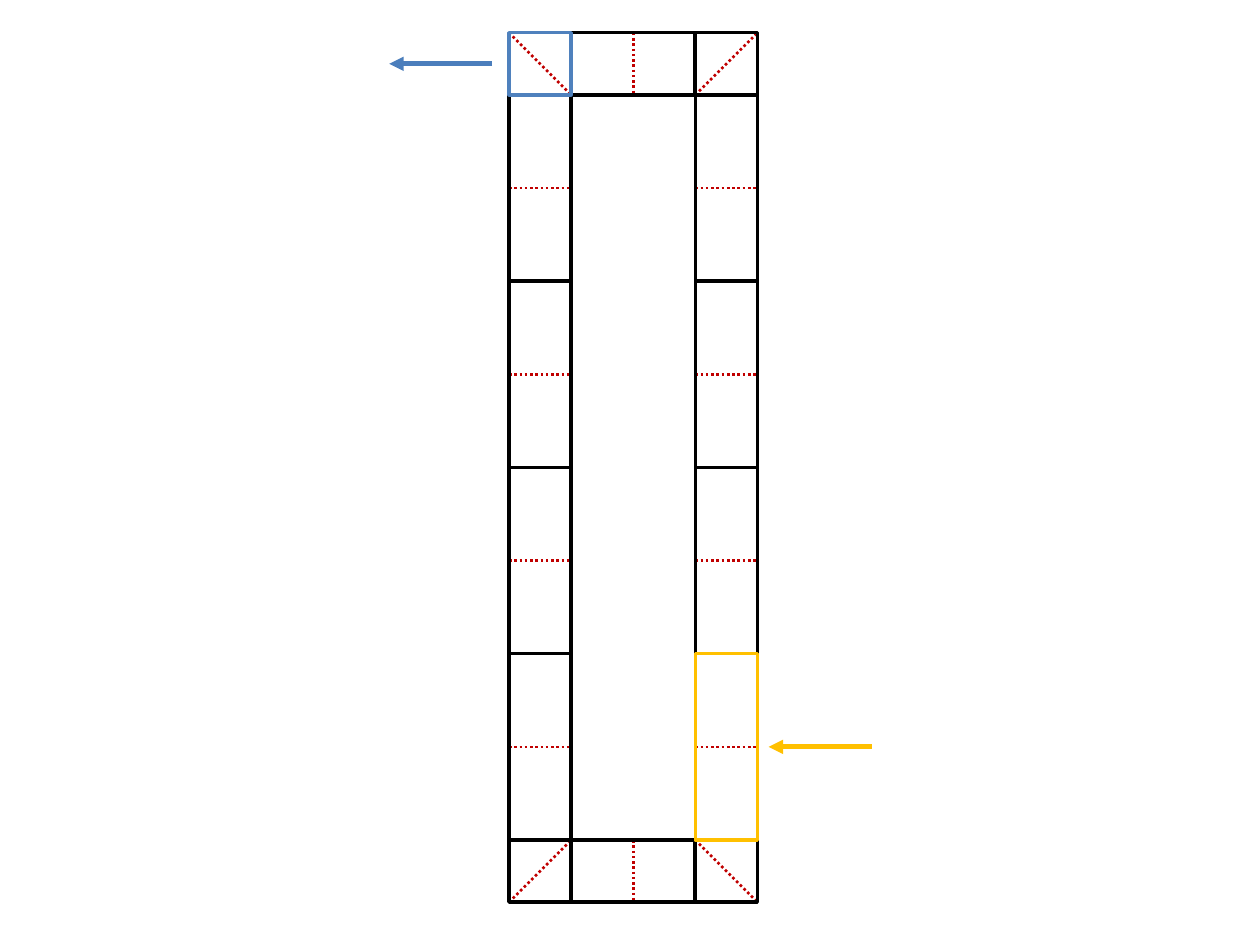
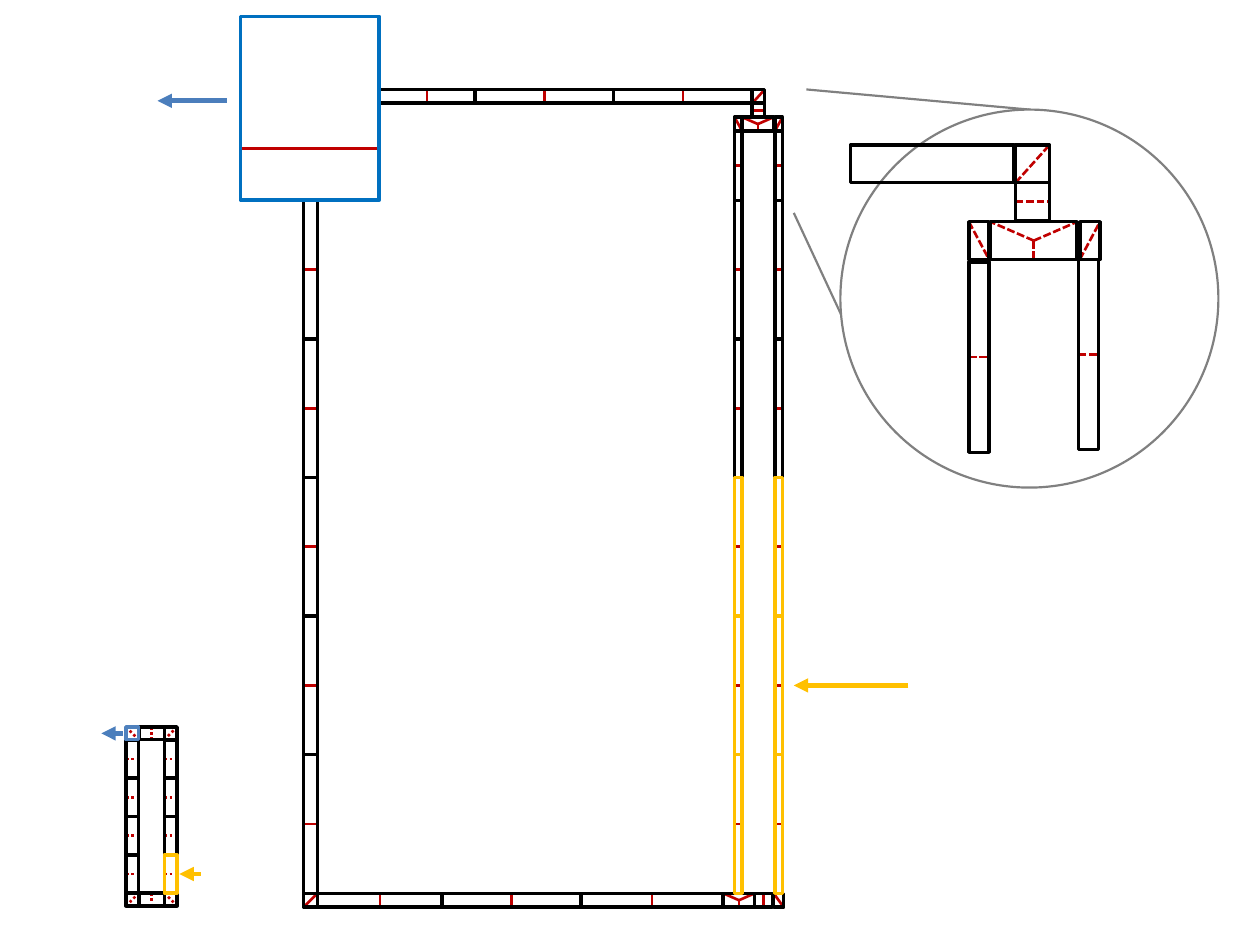
from dataclasses import dataclass
from enum import Enum, auto
from itertools import pairwise
from typing import Optional

from pptx import Presentation
from pptx.dml.color import RGBColor
from pptx.enum import dml, shapes as kinds
from pptx.oxml.ns import qn
from pptx.util import Inches, Pt
from lxml import etree

BLACK = RGBColor(0x00, 0x00, 0x00)
WHITE = RGBColor(0xFF, 0xFF, 0xFF)
RED = RGBColor(0xC0, 0x00, 0x00)
GREY = RGBColor(0x80, 0x80, 0x80)
YELLOW = RGBColor(0xFF, 0xC0, 0x00)
OUTLET_BLUE = RGBColor(0x4F, 0x81, 0xBD)
ARROW_BLUE = RGBColor(0x4B, 0x7E, 0xBC)
TANK_BLUE = RGBColor(0x00, 0x70, 0xC0)

DOTTED = dml.MSO_LINE.ROUND_DOT
DASHED = dml.MSO_LINE.SQUARE_DOT
BLANK_LAYOUT = 6

Point = tuple[float, float]


class Mark(Enum):
    """Red division drawn inside a part."""
    NONE = auto()
    MIDDLE = auto()
    RISING = auto()
    FALLING = auto()
    TEE = auto()


@dataclass(frozen=True)
class Part:
    left: float
    top: float
    width: float
    height: float
    mark: Mark = Mark.MIDDLE
    color: RGBColor = BLACK

    def scaled(self, left: float, top: float, unit: float) -> "Part":
        return Part(left + self.left * unit, top + self.top * unit,
                    self.width * unit, self.height * unit, self.mark, self.color)

    def divisions(self) -> list[tuple[Point, Point]]:
        right, bottom = self.left + self.width, self.top + self.height
        center, middle = self.left + self.width / 2, self.top + self.height / 2
        match self.mark:
            case Mark.MIDDLE if self.width > self.height:
                return [((center, self.top), (center, bottom))]
            case Mark.MIDDLE:
                return [((self.left, middle), (right, middle))]
            case Mark.RISING:
                return [((self.left, bottom), (right, self.top))]
            case Mark.FALLING:
                return [((self.left, self.top), (right, bottom))]
            case Mark.TEE:
                ends = ((self.left, self.top), (right, self.top), (center, bottom))
                return [((center, middle), end) for end in ends]
        return []


# Drawing helpers
def draw_line(shapes, start: Point, end: Point, color: RGBColor, width: float,
              dash: Optional[dml.MSO_LINE] = None, arrow: bool = False) -> None:
    line = shapes.add_connector(kinds.MSO_CONNECTOR.STRAIGHT,
                                *(Inches(value) for value in (*start, *end)))
    line.line.color.rgb = color
    line.line.width = Pt(width)
    if dash is not None:
        line.line.dash_style = dash
    properties = line._element.spPr
    if arrow:
        outline = properties.find(qn("a:ln"))
        etree.SubElement(outline, qn("a:tailEnd"), type="triangle")
    etree.SubElement(properties, qn("a:effectLst"))


def draw_outline(shapes, kind: kinds.MSO_SHAPE, part: Part, width: float,
                 fill: Optional[RGBColor] = None) -> None:
    sides = (part.left, part.top, part.width, part.height)
    outline = shapes.add_shape(kind, *(Inches(side) for side in sides))
    outline.shadow.inherit = False
    if fill is None:
        outline.fill.background()
    else:
        outline.fill.solid()
        outline.fill.fore_color.rgb = fill
    outline.line.color.rgb = part.color
    outline.line.width = Pt(width)


def draw_parts(shapes, parts: list[Part],
               dash: Optional[dml.MSO_LINE] = None) -> None:
    for part in parts:
        for start, end in part.divisions():
            draw_line(shapes, start, end, RED, 1.5, dash)
    # Coloured outlines lie above the black ones
    for part in sorted(parts, key=lambda part: part.color != BLACK):
        draw_outline(shapes, kinds.MSO_SHAPE.RECTANGLE, part, 2)


def draw_arrow(shapes, start: float, end: float, y: float, color: RGBColor) -> None:
    draw_line(shapes, (start, y), (end, y), color, 2.75, arrow=True)


def row(edges: list[float], top: float, height: float) -> list[Part]:
    return [Part(left, top, right - left, height) for left, right in pairwise(edges)]


# Closed ring, 4 units wide and 14 units high, used on both slides
RING_UNITS_HIGH = 14
RING = [
    Part(0, 0, 1, 1, Mark.FALLING, OUTLET_BLUE),
    Part(1, 0, 2, 1),
    Part(3, 0, 1, 1, Mark.RISING),
    Part(0, 13, 1, 1, Mark.RISING),
    Part(1, 13, 2, 1),
    Part(3, 13, 1, 1, Mark.FALLING),
    *(Part(0, 1 + 3 * i, 1, 3) for i in range(4)),
    *(Part(3, 1 + 3 * i, 1, 3, color=YELLOW if i == 3 else BLACK) for i in range(4)),
]


def draw_ring(slide, left: float, top: float, height: float) -> None:
    ring = slide.shapes.add_group_shape().shapes
    unit = height / RING_UNITS_HIGH
    draw_parts(ring, [part.scaled(left, top, unit) for part in RING], DOTTED)
    draw_arrow(ring, left - 0.27 * unit, left - 1.93 * unit, top + 0.5 * unit, ARROW_BLUE)
    draw_arrow(ring, left + 5.84 * unit, left + 4.18 * unit, top + 11.5 * unit, YELLOW)


# Large loop with tank and twin risers
PIPE = 0.11
RISER = 0.06
SECTION = 1.1
TANK_BOTTOM = 1.59
BASE = 7.09


def loop_parts() -> list[Part]:
    tops = [TANK_BOTTOM + SECTION * i for i in range(5)]
    risers = [
        part
        for left in (5.83, 6.15)
        for part in (
            Part(left, 1.04, RISER, 0.55),
            *(Part(left, top, RISER, SECTION, color=YELLOW if i >= 2 else BLACK)
              for i, top in enumerate(tops)),
        )
    ]
    return [
        *risers,
        *(Part(2.41, top, PIPE, SECTION) for top in tops),
        # Bottom run
        Part(2.41, BASE, PIPE, PIPE, Mark.RISING),
        *row([2.52, 3.51, 4.61, 5.74], BASE, PIPE),
        Part(5.74, BASE, 0.25, PIPE, Mark.TEE),
        Part(5.99, BASE, 0.14, PIPE),
        Part(6.14, BASE, 0.08, PIPE, Mark.FALLING),
        # Top run and its branch to the risers
        *row([3.01, 3.77, 4.87, 5.97], 0.71, PIPE),
        Part(5.97, 0.71, 0.1, PIPE, Mark.RISING),
        Part(5.97, 0.82, 0.1, PIPE),
        Part(5.83, 0.93, RISER, PIPE, Mark.FALLING),
        Part(5.89, 0.93, 0.25, PIPE, Mark.TEE),
        Part(6.15, 0.93, RISER, PIPE, Mark.RISING),
    ]


# Enlarged view of the branch
BRANCH_DETAIL = [
    Part(7.69, 2.08, 0.16, 1.51),
    Part(8.56, 2.06, 0.16, 1.51),
    Part(7.69, 1.76, 0.16, 0.3, Mark.FALLING),
    Part(7.86, 1.76, 0.69, 0.3, Mark.TEE),
    Part(8.57, 1.76, 0.16, 0.3, Mark.RISING),
    Part(6.75, 1.15, 1.3, 0.3, Mark.NONE),
    Part(8.06, 1.45, 0.27, 0.3),
    Part(8.06, 1.15, 0.27, 0.3, Mark.RISING),
]


def draw_branch_detail(slide) -> None:
    draw_line(slide.shapes, (6.3, 1.69), (7.11, 3.43), GREY, 1.25)
    draw_line(slide.shapes, (6.4, 0.71), (8.17, 0.87), GREY, 1.25)
    lens = Part(6.67, 0.87, 3, 3, Mark.NONE, GREY)
    draw_outline(slide.shapes, kinds.MSO_SHAPE.OVAL, lens, 1.25, WHITE)
    draw_parts(slide.shapes.add_group_shape().shapes, BRANCH_DETAIL, DASHED)


def draw_loop(slide) -> None:
    tank = Part(1.91, 0.13, 1.1, 1.46, Mark.NONE, TANK_BLUE)
    draw_line(slide.shapes, (1.91, 1.18), (3.01, 1.18), RED, 1.5)
    draw_parts(slide.shapes, [*loop_parts(), tank])
    draw_arrow(slide.shapes, 7.21, 6.3, 5.44, YELLOW)
    draw_arrow(slide.shapes, 1.8, 1.25, 0.8, ARROW_BLUE)


def main() -> None:
    deck = Presentation()
    deck.slide_width, deck.slide_height = Inches(10), Inches(7.5)
    blank = deck.slide_layouts[BLANK_LAYOUT]

    ring_slide = deck.slides.add_slide(blank)
    draw_ring(ring_slide, 4.04, 0.26, 6.9)

    loop_slide = deck.slides.add_slide(blank)
    draw_ring(loop_slide, 1, 5.77, 1.42)
    draw_loop(loop_slide)
    draw_branch_detail(loop_slide)

    deck.save("out.pptx")


if __name__ == "__main__":
    main()
